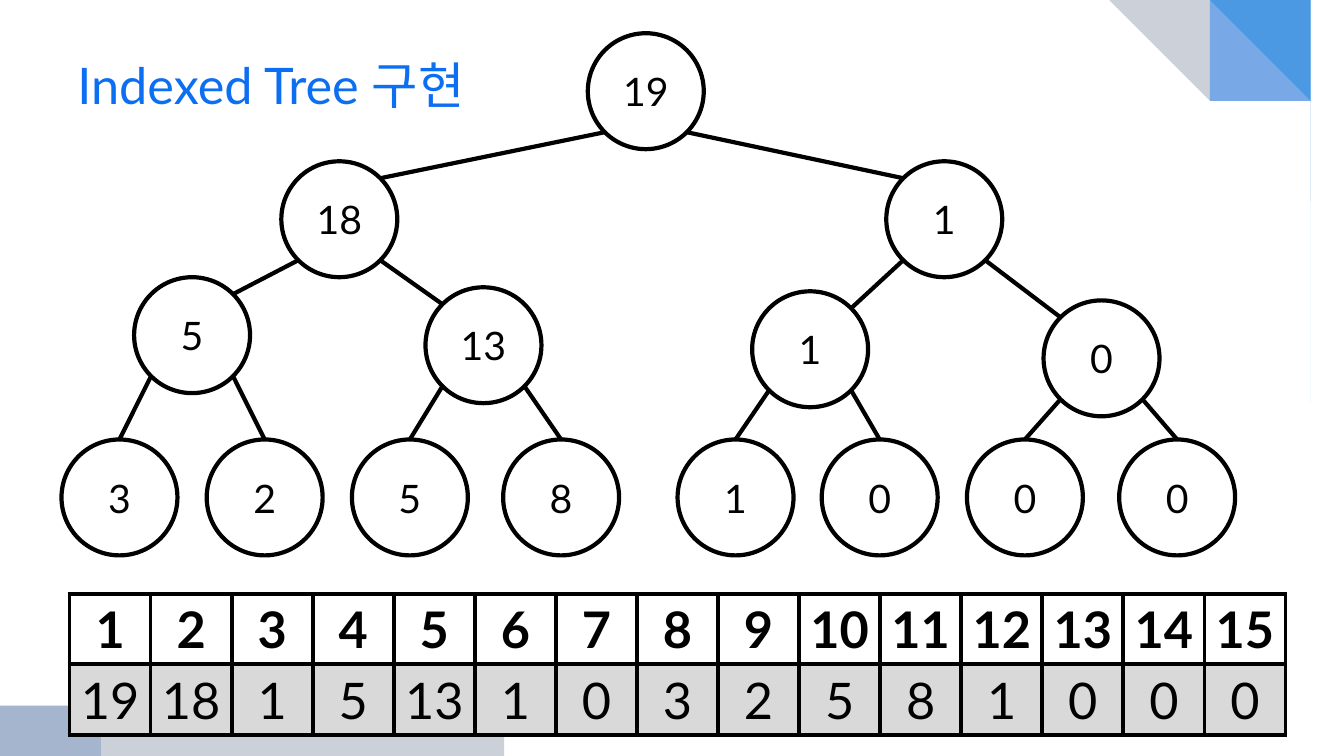
"""Build a slide showing an indexed tree and the array that stores it."""
from math import cos, pi, sin, sqrt

from lxml import etree
from pptx import Presentation
from pptx.dml.color import RGBColor
from pptx.enum.shapes import MSO_CONNECTOR, MSO_SHAPE
from pptx.enum.text import MSO_ANCHOR, PP_ALIGN
from pptx.oxml import parse_xml
from pptx.oxml.ns import nsdecls, qn
from pptx.util import Inches, Pt

ELLIPSE = MSO_SHAPE.OVAL
STRAIGHT = MSO_CONNECTOR.STRAIGHT
MIDDLE = MSO_ANCHOR.MIDDLE
LEFT, CENTER = PP_ALIGN.LEFT, PP_ALIGN.CENTER

COLUMNS, ROWS = 13.33, 7.5
CELL = Inches(1)
BLACK, WHITE, GREY, BLUE = "000000", "FFFFFF", "D9D9D9", "0C6FF2"
STROKE = Pt(3)
DIAMETER = 1.15
CURVE_POWER = 1.78
CURVE_STEPS = 60


def paint(fill, color, opacity=100):
    """Give a fill a solid colour, with its opacity in percent."""
    fill.solid()
    fill.fore_color.rgb = RGBColor.from_string(color)
    if opacity < 100:
        for tone in fill._xPr.iter(qn("a:srgbClr")):
            etree.SubElement(tone, qn("a:alpha")).set("val", str(opacity * 1000))


def write(holder, text, size=28, color=BLACK, bold=False, align=CENTER):
    """Put one formatted line of text into a shape or table cell."""
    holder.text_frame.word_wrap = True
    holder.text_frame.vertical_anchor = MIDDLE
    paragraph = holder.text_frame.paragraphs[0]
    paragraph.alignment = align
    run = paragraph.add_run()
    run.text = text
    run.font.name, run.font.size, run.font.bold = "Lato", Pt(size), bold
    paint(run.font.fill, color)


presentation = Presentation()
presentation.slide_width = int(COLUMNS * CELL)
presentation.slide_height = int(ROWS * CELL)
slide = presentation.slides.add_slide(presentation.slide_layouts[6])
shapes = slide.shapes
paint(slide.background.fill, WHITE)

# Corner column, corner row, reach across, reach down, colour, opacity
corner_waves = [
    (COLUMNS, 0, -1.44, 4.08, "00B1E9", 45),
    (COLUMNS, 0, -4.44, 2.15, "021741", 20),
    (COLUMNS, 0, -4.44, 1.55, "247FF4", 49),
    (0, ROWS, 5, -1.42, "021741", 20),
    (0, ROWS, 1.48, -2.92, "084AA1", 20),
]
for corner_x, corner_y, across, down, color, opacity in corner_waves:
    builder = shapes.build_freeform(corner_x, corner_y, scale=CELL)
    points = []
    for step in range(CURVE_STEPS + 1):
        angle = pi / 2 * step / CURVE_STEPS
        points.append((
            corner_x + across * (1 - sin(angle) ** (2 / CURVE_POWER)),
            corner_y + down * (1 - abs(cos(angle)) ** (2 / CURVE_POWER)),
        ))
    builder.add_line_segments(points, close=True)
    wave = builder.convert_to_shape()
    wave.shadow.inherit = False
    wave.line.fill.background()
    paint(wave.fill, color, opacity)

title = shapes.add_textbox(*(int(part * CELL) for part in (0.67, 0.33, 12, 1.01)))
write(title, "Indexed Tree 구현", size=36, color=BLUE, align=LEFT)

values = [19, 18, 1, 5, 13, 1, 0, 3, 2, 5, 8, 1, 0, 0, 0]
node_corners = [
    (5.83, 0.33),
    (2.79, 1.6), (8.79, 1.6),
    (1.33, 2.75), (4.22, 2.85), (7.46, 2.89), (10.35, 2.98),
] + [(left, 4.36) for left in (0.61, 2.05, 3.49, 4.99, 6.72, 8.15, 9.59, 11.1)]
first_leaf = len(values) // 2

for value, (left, top) in zip(values, node_corners):
    node = shapes.add_shape(
        ELLIPSE, *(int(part * CELL) for part in (left, top, DIAMETER, DIAMETER)))
    node.shadow.inherit = False
    paint(node.fill, WHITE)
    paint(node.line.fill, BLACK)
    node.line.width = STROKE
    write(node, str(value))

radius = DIAMETER / 2
diagonal = radius / sqrt(2)
centers = [(left + radius, top + radius) for left, top in node_corners]
for child in range(1, len(values)):
    parent_x, parent_y = centers[(child - 1) // 2]
    child_x, child_y = centers[child]
    side = -1 if child % 2 else 1
    if child >= first_leaf:
        end_x, end_y = child_x, child_y - radius
    else:
        end_x, end_y = child_x - side * diagonal, child_y - diagonal
    ends = (parent_x + side * diagonal, parent_y + diagonal, end_x, end_y)
    branch = shapes.add_connector(STRAIGHT, *(int(part * CELL) for part in ends))
    paint(branch.line.fill, BLACK)
    branch.line.width = STROKE
    etree.SubElement(branch._element.spPr, qn("a:effectLst"))

frame = shapes.add_table(
    2, len(values), *(int(part * CELL) for part in (0.69, 5.89, 12.06, 1.4)))
table = frame.table
table.first_row = table.horz_banding = False
table_rows = [
    (range(1, len(values) + 1), WHITE, True),
    (values, GREY, False),
]
for row, (numbers, color, bold) in enumerate(table_rows):
    for column, number in enumerate(numbers):
        cell = table.cell(row, column)
        properties = cell._tc.get_or_add_tcPr()
        for edge in ("lnL", "lnR", "lnT", "lnB"):
            properties.append(parse_xml(
                f'<a:{edge} {nsdecls("a")} w="{int(STROKE)}"><a:solidFill>'
                f'<a:srgbClr val="{BLACK}"/></a:solidFill></a:{edge}>'))
        paint(cell.fill, color)
        cell.vertical_anchor = MIDDLE
        write(cell, str(number), size=36, bold=bold)

presentation.save("out.pptx")
